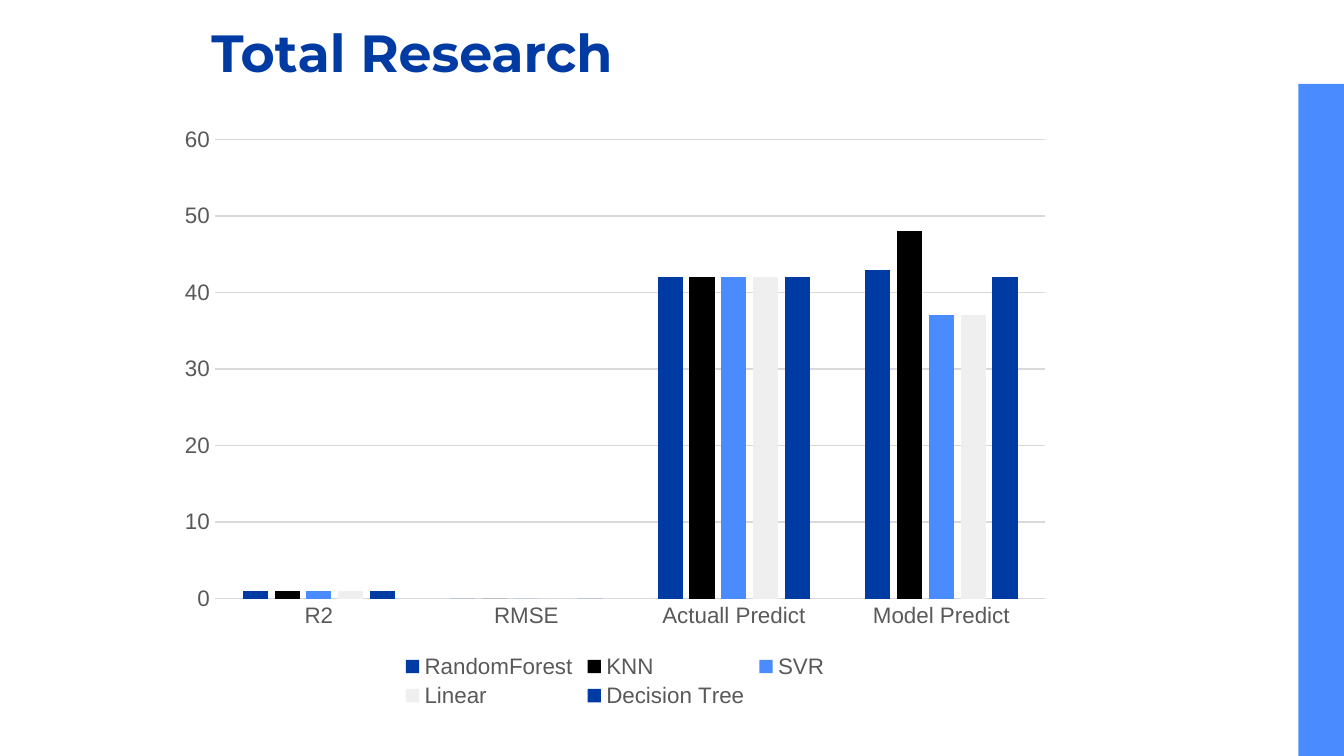
from pptx import Presentation
from pptx.chart.data import CategoryChartData
from pptx.dml.color import RGBColor
from pptx.enum.chart import XL_CHART_TYPE as ChartType
from pptx.enum.chart import XL_LEGEND_POSITION as LegendPosition
from pptx.enum.chart import XL_TICK_MARK as TickMark
from pptx.enum.shapes import MSO_SHAPE as ShapeType
from pptx.enum.text import MSO_ANCHOR as Anchor
from pptx.enum.text import PP_ALIGN as Align
from pptx.util import Pt

WIDTH, HEIGHT = 720, 405
BLUE, SKY, BLACK, PALE = "003BA3", "4A8CFF", "000000", "EFEFEF"
GRAY, RULE = "595959", "D9D9D9"

CATEGORIES = ["R2", "RMSE", "Actuall Predict", "Model Predict"]
MODELS = [
    ("RandomForest", BLUE, [1, 0, 42, 43]),
    ("KNN", BLACK, [1, 0, 42, 48]),
    ("SVR", SKY, [1, 0, 42, 37]),
    ("Linear", PALE, [1, 0, 42, 37]),
    ("Decision Tree", BLUE, [1, 0, 42, 42]),
]


def color(value):
    return RGBColor.from_string(value)


def format_font(font, name="Arial", size=12, fill=GRAY, bold=False):
    font.name, font.size, font.bold = name, Pt(size), bold
    font.color.rgb = color(fill)


def write_text(frame, text, align=Align.LEFT, anchor=Anchor.TOP, inset=7.2, **font):
    frame.word_wrap = True
    frame.vertical_anchor = anchor
    frame.margin_left = frame.margin_right = Pt(inset)
    frame.margin_top = frame.margin_bottom = Pt(inset)
    paragraph = frame.paragraphs[0]
    paragraph.alignment = align
    paragraph.space_before = Pt(0)
    run = paragraph.add_run()
    run.text = text
    format_font(run.font, **font)


class SlideBuilder:
    heading = {"name": "Montserrat", "size": 28, "fill": BLUE, "bold": True}

    def __init__(self, slide):
        self.slide = slide

    def side_bar(self, thickness, length, fill):
        # A horizontal strip turned to stand in the bottom right corner
        left = WIDTH - (thickness + length) / 2
        top = HEIGHT - (thickness + length) / 2
        shape = self.slide.shapes.add_shape(
            ShapeType.RECTANGLE, Pt(left), Pt(top), Pt(length), Pt(thickness))
        shape.rotation = 90
        shape.shadow.inherit = False
        shape.fill.solid()
        shape.fill.fore_color.rgb = color(fill)
        shape.line.fill.background()

    def title(self, text, left, top, width, height):
        shape = self.slide.shapes.title
        shape.left, shape.top = Pt(left), Pt(top)
        shape.width, shape.height = Pt(width), Pt(height)
        write_text(shape.text_frame, text, **self.heading)

    def column_chart(self, categories, series_rows, left, top, width, height):
        data = CategoryChartData()
        data.categories = categories
        for name, _, values in series_rows:
            data.add_series(name, values)
        chart = self.slide.shapes.add_chart(
            ChartType.COLUMN_CLUSTERED, Pt(left), Pt(top), Pt(width), Pt(height), data).chart
        chart.has_title = False
        format_font(chart.font, size=10, fill=BLACK)

        # Columns
        plot = chart.plots[0]
        plot.gap_width, plot.overlap = 219, -27
        plot.vary_by_categories = False
        for series, (_, fill, _) in zip(plot.series, series_rows):
            series.format.fill.solid()
            series.format.fill.fore_color.rgb = color(fill)
            series.invert_if_negative = False

        # Axes and gridlines
        category_axis, value_axis = chart.category_axis, chart.value_axis
        for axis in (category_axis, value_axis):
            axis.major_tick_mark = axis.minor_tick_mark = TickMark.NONE
            format_font(axis.tick_labels.font)
        value_axis.minimum_scale, value_axis.maximum_scale = 0, 60
        value_axis.major_unit = 10
        value_axis.tick_labels.number_format = "General"
        value_axis.tick_labels.number_format_is_linked = False
        value_axis.format.line.fill.background()
        for line in (category_axis.format.line, value_axis.major_gridlines.format.line):
            line.color.rgb = color(RULE)
            line.width = Pt(0.75)

        # Legend
        chart.has_legend = True
        chart.legend.position = LegendPosition.BOTTOM
        chart.legend.include_in_layout = False
        format_font(chart.legend.font)


def main():
    presentation = Presentation()
    presentation.slide_width, presentation.slide_height = Pt(WIDTH), Pt(HEIGHT)
    slide = presentation.slides.add_slide(presentation.slide_layouts[5])
    builder = SlideBuilder(slide)
    builder.side_bar(24.5, 360, SKY)
    builder.title("Total Research", 106, 3.6, 607, 51)
    builder.column_chart(CATEGORIES, MODELS, 89.5, 62, 480, 320)
    presentation.save("out.pptx")


if __name__ == "__main__":
    main()
